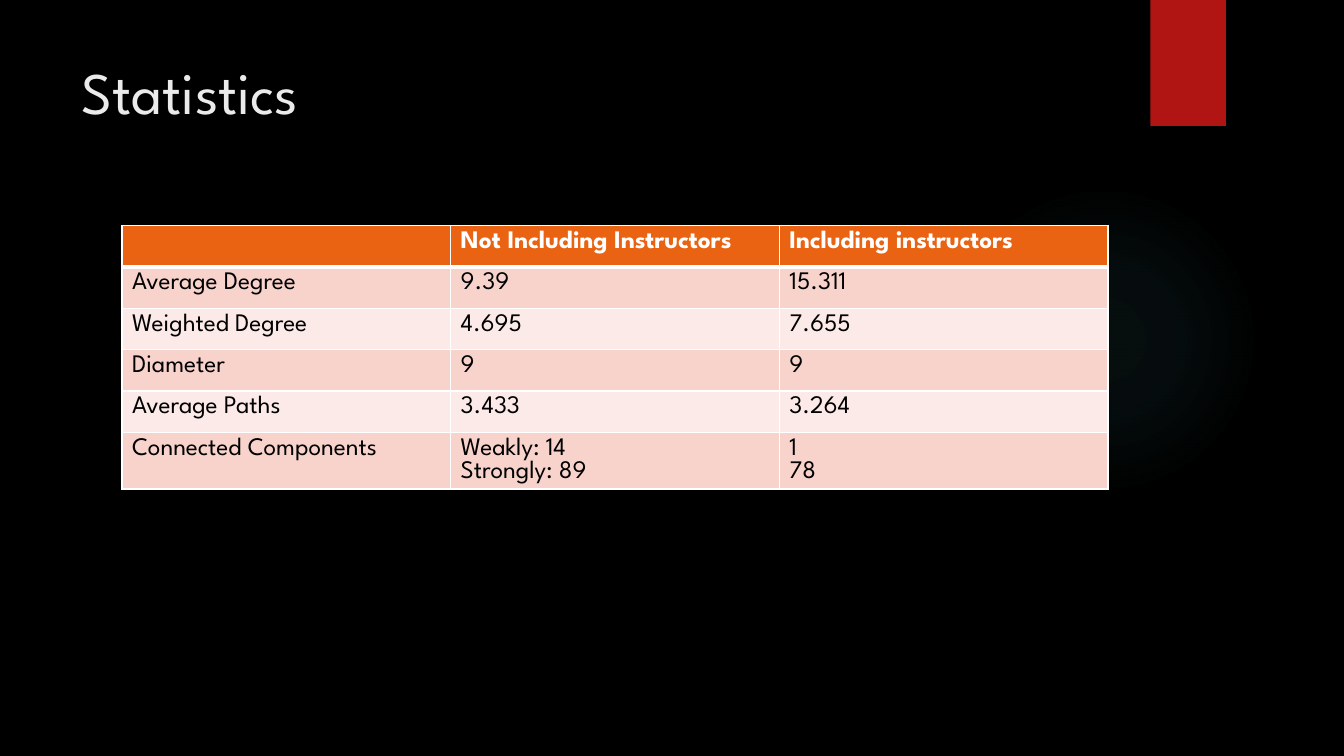
"""Build the Statistics slide with its network comparison table."""
from typing import NamedTuple

from lxml.etree import SubElement
from pptx import Presentation
from pptx.dml.color import RGBColor
from pptx.enum.shapes import MSO_SHAPE as Shape
from pptx.enum.text import MSO_ANCHOR as Anchor
from pptx.oxml import parse_xml
from pptx.oxml.ns import nsdecls, qn
from pptx.util import Inches, Pt

FONT = "League Spartan"
BLACK = RGBColor(0x00, 0x00, 0x00)
WHITE = RGBColor(0xFF, 0xFF, 0xFF)
TITLE_GREY = RGBColor(0xEB, 0xEB, 0xEB)
RED = RGBColor(0xB0, 0x15, 0x13)
ORANGE = RGBColor(0xEA, 0x63, 0x12)
DARK_PINK = RGBColor(0xF7, 0xD3, 0xCC)
LIGHT_PINK = RGBColor(0xFB, 0xEA, 0xE7)
TEAL = RGBColor(0x50, 0xB9, 0xC1)


class Box(NamedTuple):
    left: float
    top: float
    width: float
    height: float

    def lengths(self) -> list:
        return [Inches(value) for value in self]


class GlowStop(NamedTuple):
    position: int
    opacity: int


class Statistic(NamedTuple):
    label: str
    without_instructors: str
    with_instructors: str


GLOW_BOX = Box(9.41, 1.83, 3.08, 3.08)
BAR_BOX = Box(11.41, 0, 0.75, 1.25)
TITLE_BOX = Box(0.71, 0.5, 10.29, 1.53)
TABLE_BOX = Box(1.21, 2.24, 9.78, 2.46)
GLOW_STOPS = [GlowStop(0, 7), GlowStop(36, 6), GlowStop(69, 0)]
STATISTICS = [
    Statistic("", "Not Including Instructors", "Including instructors"),
    Statistic("Average Degree", "9.39", "15.311"),
    Statistic("Weighted Degree", "4.695", "7.655"),
    Statistic("Diameter", "9", "9"),
    Statistic("Average Paths", "3.433", "3.264"),
    Statistic("Connected Components", "Weakly: 14\nStrongly: 89", "1\n78"),
]


def format_text(text_frame, size: float, color: RGBColor, bold: bool = False) -> None:
    for paragraph in text_frame.paragraphs:
        for run in paragraph.runs:
            run.font.name = FONT
            run.font.size = Pt(size)
            run.font.bold = bold
            run.font.color.rgb = color


def add_plain_shape(slide, kind: Shape, box: Box, color: RGBColor):
    shape = slide.shapes.add_shape(kind, *box.lengths())
    shape.fill.solid()
    shape.fill.fore_color.rgb = color
    shape.line.fill.background()
    shape.shadow.inherit = False
    return shape


def add_glow(slide) -> None:
    glow = add_plain_shape(slide, Shape.OVAL, GLOW_BOX, TEAL)
    stops = "".join(
        f'<a:gs pos="{stop.position * 1000}"><a:srgbClr val="{TEAL}">'
        f'<a:alpha val="{stop.opacity * 1000}"/></a:srgbClr></a:gs>'
        for stop in GLOW_STOPS
    )
    gradient = parse_xml(
        f'<a:gradFill {nsdecls("a")} rotWithShape="1"><a:gsLst>{stops}</a:gsLst>'
        '<a:path path="circle"><a:fillToRect l="50000" t="50000" r="50000" b="50000"/>'
        "</a:path></a:gradFill>"
    )
    properties = glow.element.spPr
    properties.replace(properties.find(qn("a:solidFill")), gradient)


def set_borders(cell, top: float, bottom: float) -> None:
    properties = cell._tc.get_or_add_tcPr()
    widths = {"lnL": 1, "lnR": 1, "lnT": top, "lnB": bottom}
    for index, (side, width) in enumerate(widths.items()):
        line = SubElement(properties, qn(f"a:{side}"), w=str(Pt(width)))
        fill = SubElement(line, qn("a:solidFill"))
        SubElement(fill, qn("a:srgbClr"), val=str(WHITE))
        properties.insert(index, line)


def add_statistics_table(slide) -> None:
    frame = slide.shapes.add_table(len(STATISTICS), 3, *TABLE_BOX.lengths())
    for row, statistic in enumerate(STATISTICS):
        header = row == 0
        fill_color = ORANGE if header else DARK_PINK if row % 2 else LIGHT_PINK
        for column, text in enumerate(statistic):
            cell = frame.table.cell(row, column)
            cell.text_frame.text = text
            format_text(cell.text_frame, 18, WHITE if header else BLACK, header)
            cell.fill.solid()
            cell.fill.fore_color.rgb = fill_color
            set_borders(cell, top=3 if row == 1 else 1, bottom=3 if header else 1)


def add_title(slide) -> None:
    title = slide.shapes.title
    title.left, title.top, title.width, title.height = TITLE_BOX.lengths()
    text_frame = title.text_frame
    text_frame.text = "Statistics"
    text_frame.vertical_anchor = Anchor.TOP
    text_frame.paragraphs[0].alignment = 1
    format_text(text_frame, 42, TITLE_GREY)


def main() -> None:
    presentation = Presentation()
    presentation.slide_width = Inches(13.33)
    presentation.slide_height = Inches(7.5)
    slide = presentation.slides.add_slide(presentation.slide_layouts[5])
    slide.background.fill.solid()
    slide.background.fill.fore_color.rgb = BLACK
    add_glow(slide)
    add_plain_shape(slide, Shape.RECTANGLE, BAR_BOX, RED)
    add_title(slide)
    add_statistics_table(slide)
    presentation.save("out.pptx")


if __name__ == "__main__":
    main()
